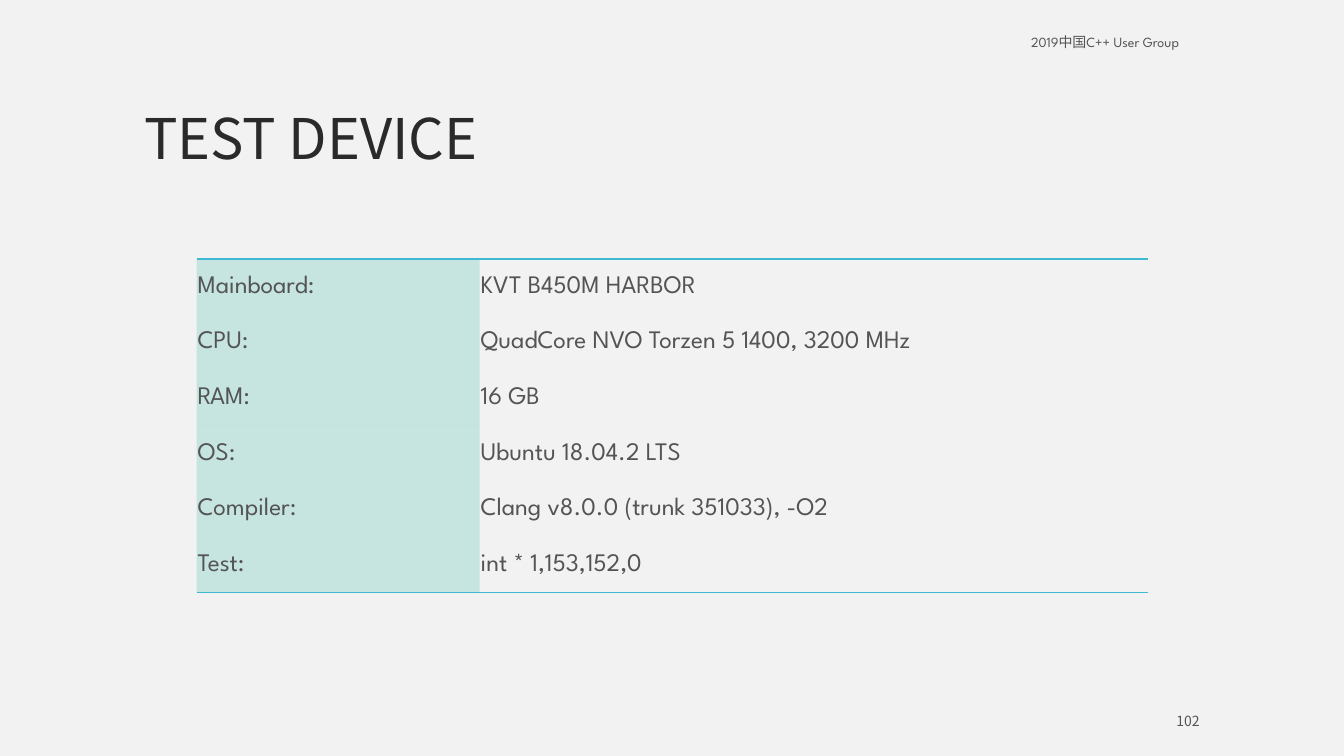
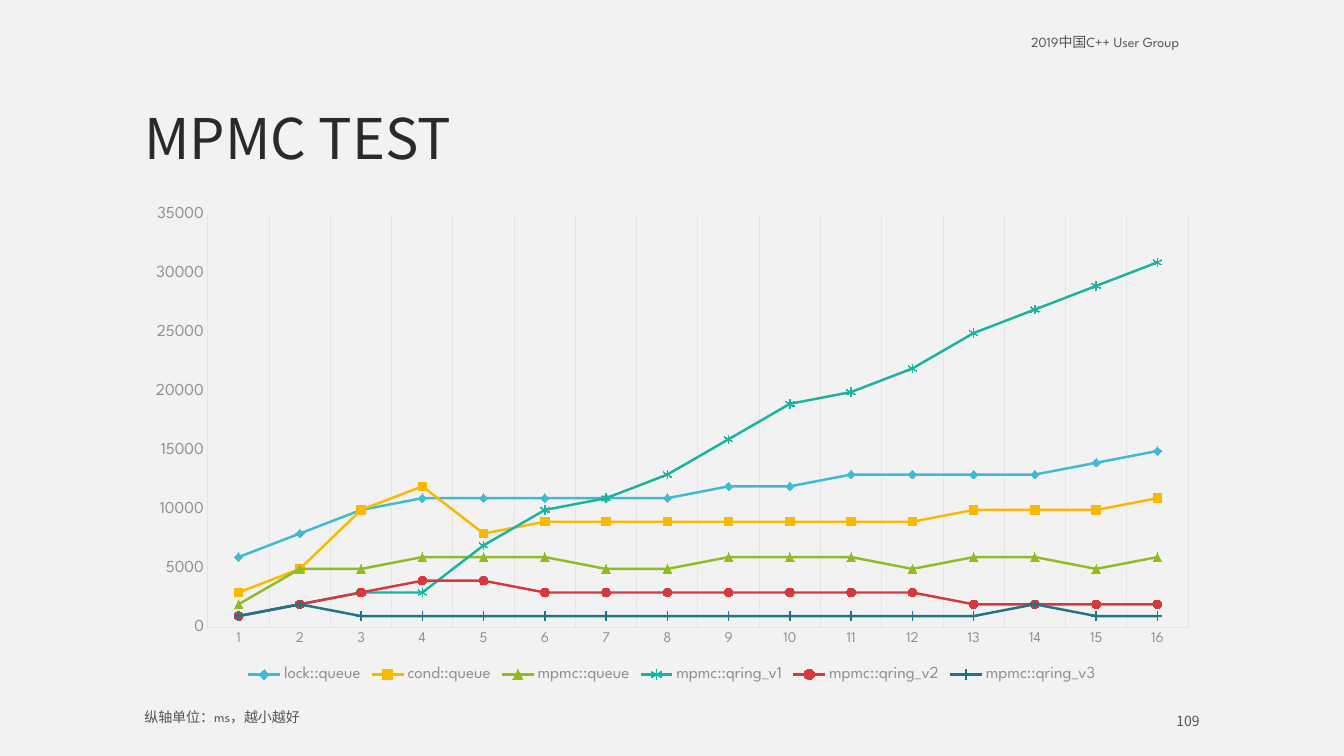
from typing import NamedTuple

import lxml.etree
import pptx
import pptx.chart.chart
import pptx.chart.data
import pptx.dml.color
import pptx.enum.chart
import pptx.enum.text
import pptx.oxml.ns
import pptx.presentation
import pptx.slide
import pptx.table
import pptx.text.text
import pptx.util

Pt = pptx.util.Pt
RGBColor = pptx.dml.color.RGBColor
Anchor = pptx.enum.text.MSO_ANCHOR
Align = pptx.enum.text.PP_ALIGN
Marker = pptx.enum.chart.XL_MARKER_STYLE
qn = pptx.oxml.ns.qn

BACKGROUND = RGBColor(0xF2, 0xF2, 0xF2)
TITLE_INK = RGBColor(0x2A, 0x2A, 0x2A)
BODY_INK = RGBColor(0x54, 0x54, 0x54)
AXIS_INK = RGBColor(0x90, 0x90, 0x90)
GRID = RGBColor(0xE5, 0xE5, 0xE5)
BLUE = RGBColor(0x40, 0xBA, 0xD2)
YELLOW = RGBColor(0xFA, 0xB9, 0x00)
GREEN = RGBColor(0x90, 0xBB, 0x23)
TEAL = RGBColor(0x1A, 0xB3, 0x9F)
RED = RGBColor(0xD5, 0x39, 0x3D)
NAVY = RGBColor(0x1F, 0x74, 0x85)

LATIN = "League Spartan"
CJK = "Noto Sans CJK SC"
NO_TABLE_STYLE = "{2D5ABB26-0587-4C30-8999-92F81FD0307C}"

HEADER = "2019中国C++ User Group"
LEFT = 96
CONTENT_WIDTH = 768


class Box(NamedTuple):
    left: float
    top: float
    width: float
    height: float

    def points(self) -> list[pptx.util.Length]:
        return [Pt(length) for length in self]


class Spec(NamedTuple):
    label: str
    value: str


class Timing(NamedTuple):
    queue: str
    color: RGBColor
    marker: Marker
    filled: bool
    thousands: list[int]


DEVICE = [
    Spec("Mainboard:", "KVT B450M HARBOR"),
    Spec("CPU:", "QuadCore NVO Torzen 5 1400, 3200 MHz"),
    Spec("RAM:", "16 GB"),
    Spec("OS:", "Ubuntu 18.04.2 LTS"),
    Spec("Compiler:", "Clang v8.0.0 (trunk 351033), -O2"),
    Spec("Test:", "int * 1,153,152,0"),
]

TIMINGS = [
    Timing("lock::queue", BLUE, Marker.DIAMOND, True,
           [6, 8, 10, 11, 11, 11, 11, 11, 12, 12, 13, 13, 13, 13, 14, 15]),
    Timing("cond::queue", YELLOW, Marker.SQUARE, True,
           [3, 5, 10, 12, 8, 9, 9, 9, 9, 9, 9, 9, 10, 10, 10, 11]),
    Timing("mpmc::queue", GREEN, Marker.TRIANGLE, True,
           [2, 5, 5, 6, 6, 6, 5, 5, 6, 6, 6, 5, 6, 6, 5, 6]),
    Timing("mpmc::qring_v1", TEAL, Marker.STAR, False,
           [1, 2, 3, 3, 7, 10, 11, 13, 16, 19, 20, 22, 25, 27, 29, 31]),
    Timing("mpmc::qring_v2", RED, Marker.CIRCLE, True,
           [1, 2, 3, 4, 4, 3, 3, 3, 3, 3, 3, 3, 2, 2, 2, 2]),
    Timing("mpmc::qring_v3", NAVY, Marker.PLUS, False,
           [1, 2, 1, 1, 1, 1, 1, 1, 1, 1, 1, 1, 1, 2, 1, 1]),
]


def style_font(font: pptx.text.text.Font, size: float, color: RGBColor,
               face: str = LATIN) -> None:
    font.size = Pt(size)
    font.name = face
    font.color.rgb = color


def write(frame: pptx.text.text.TextFrame, text: str, *, size: float = 10,
          color: RGBColor = BODY_INK, face: str = LATIN,
          align: Align = Align.LEFT, spacing: float = 1.0) -> None:
    paragraph = frame.paragraphs[0]
    paragraph.alignment = align
    paragraph.line_spacing = spacing
    run = paragraph.add_run()
    run.text = text
    style_font(run.font, size, color, face)
    east_asian = lxml.etree.SubElement(run.font._element, qn("a:ea"))
    east_asian.set("typeface", CJK)


def add_text(slide: pptx.slide.Slide, box: Box, text: str, *,
             anchor: Anchor = Anchor.TOP, **text_format) -> None:
    frame = slide.shapes.add_textbox(*box.points()).text_frame
    frame.word_wrap = True
    frame.vertical_anchor = anchor
    write(frame, text, **text_format)


def add_page(deck: pptx.presentation.Presentation, title: str,
             number: int) -> pptx.slide.Slide:
    """Add a slide with the shared header, title and page number."""
    slide = deck.slides.add_slide(deck.slide_layouts[6])
    add_text(slide, Box(729.4, 21.6, 134.6, 18), HEADER, spacing=0.9)
    add_text(slide, Box(LEFT, 21.6, CONTENT_WIDTH, 104.4), title, size=40,
             color=TITLE_INK, face=CJK, spacing=0.9, anchor=Anchor.BOTTOM)
    add_text(slide, Box(774, 507.6, 90, 14.4), str(number), face=CJK,
             align=Align.RIGHT, anchor=Anchor.MIDDLE)
    return slide


def add_border(cell: pptx.table._Cell, side: str) -> None:
    """Rule one side of a cell: lnT is the top, lnB the bottom."""
    properties = cell._tc.get_or_add_tcPr()
    line = lxml.etree.SubElement(properties, qn(f"a:{side}"), w=str(Pt(1)))
    fill = lxml.etree.SubElement(line, qn("a:solidFill"))
    lxml.etree.SubElement(fill, qn("a:srgbClr"), val=str(BLUE))


def tint(cell: pptx.table._Cell, color: RGBColor, percent: int) -> None:
    """Fill a cell with a see-through colour."""
    cell.fill.solid()
    cell.fill.fore_color.rgb = color
    srgb = cell._tc.tcPr.find(f"{qn('a:solidFill')}/{qn('a:srgbClr')}")
    lxml.etree.SubElement(srgb, qn("a:alpha"), val=str(percent * 1000))


def add_device_table(slide: pptx.slide.Slide) -> None:
    box = Box(140.4, 185.04, 679.7, 238.32)
    holder = slide.shapes.add_table(len(DEVICE), 2, *box.points())
    holder._element.find(f".//{qn('a:tableStyleId')}").text = NO_TABLE_STYLE
    table = holder.table
    table.first_row = table.horz_banding = False
    for column, width in zip(table.columns, (202.3, 477.4)):
        column.width = Pt(width)
    for index, spec in enumerate(DEVICE):
        table.rows[index].height = Pt(box.height / len(DEVICE))
        for cell, text in zip(table.rows[index].cells, spec):
            cell.margin_left = cell.margin_right = cell.margin_top = Pt(0.7)
            cell.margin_bottom = Pt(0)
            cell.vertical_anchor = Anchor.MIDDLE
            write(cell.text_frame, text, size=18)
            if index == 0:
                add_border(cell, "lnT")
            if index == len(DEVICE) - 1:
                add_border(cell, "lnB")
            cell.fill.background()
        tint(table.cell(index, 0), TEAL, 20)


def style_axes(chart: pptx.chart.chart.Chart) -> None:
    threads, duration = chart.category_axis, chart.value_axis
    for axis, size in ((threads, 10.6), (duration, 12)):
        axis.major_tick_mark = pptx.enum.chart.XL_TICK_MARK.NONE
        axis.minor_tick_mark = pptx.enum.chart.XL_TICK_MARK.NONE
        axis.format.line.color.rgb = GRID
        axis.format.line.width = Pt(0.75)
        style_font(axis.tick_labels.font, size, AXIS_INK)
    threads.has_major_gridlines = True
    threads.major_gridlines.format.line.color.rgb = GRID
    threads.major_gridlines.format.line.width = Pt(0.75)
    duration.has_major_gridlines = False
    duration.minimum_scale = 0
    duration.maximum_scale = 35000
    duration.major_unit = 5000


def add_timing_chart(slide: pptx.slide.Slide) -> None:
    data = pptx.chart.data.CategoryChartData()
    data.categories = [str(count) for count in range(1, 17)]
    for timing in TIMINGS:
        data.add_series(timing.queue, [value * 1000 for value in timing.thousands])
    box = Box(LEFT, 141.1, CONTENT_WIDTH, 349.2)
    chart = slide.shapes.add_chart(
        pptx.enum.chart.XL_CHART_TYPE.LINE_MARKERS, *box.points(), data).chart
    style_font(chart.font, 10, BODY_INK)
    chart.has_title = False
    chart.has_legend = True
    chart.legend.position = pptx.enum.chart.XL_LEGEND_POSITION.BOTTOM
    chart.legend.include_in_layout = False
    style_font(chart.legend.font, 12, AXIS_INK)
    style_axes(chart)
    plot = chart.plots[0]
    plot.vary_by_categories = False
    for series, timing in zip(plot.series, TIMINGS):
        series.smooth = False
        series.format.line.color.rgb = timing.color
        series.format.line.width = Pt(1.75)
        marker = series.marker
        marker.style = timing.marker
        marker.size = 6
        marker.format.line.color.rgb = timing.color
        if timing.filled:
            marker.format.fill.solid()
            marker.format.fill.fore_color.rgb = timing.color
        else:
            marker.format.fill.background()


def main() -> None:
    deck = pptx.Presentation()
    deck.slide_width, deck.slide_height = Pt(960), Pt(540)
    backdrop = deck.slide_master.background.fill
    backdrop.solid()
    backdrop.fore_color.rgb = BACKGROUND

    add_device_table(add_page(deck, "TEST DEVICE", 102))

    results = add_page(deck, "MPMC TEST", 109)
    add_timing_chart(results)
    add_text(results, Box(LEFT, 504, 128.9, 18), "纵轴单位：ms，越小越好", spacing=0.9)

    deck.save("out.pptx")


if __name__ == "__main__":
    main()
